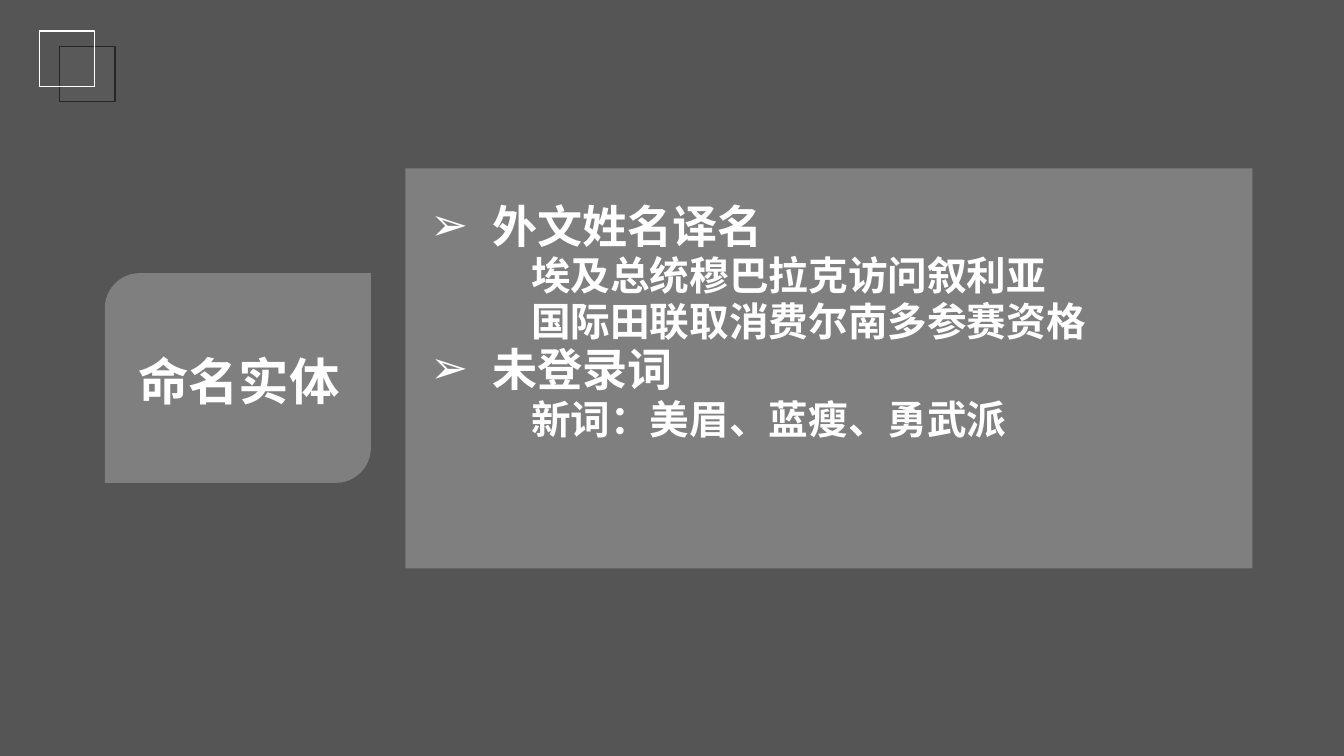
from lxml import etree
from pptx import Presentation
from pptx.dml.color import RGBColor
from pptx.enum.shapes import MSO_SHAPE
from pptx.enum.text import MSO_ANCHOR, PP_ALIGN
from pptx.oxml.ns import qn
from pptx.util import Inches, Pt

RECTANGLE = MSO_SHAPE.RECTANGLE
DIAGONAL_ROUND = MSO_SHAPE.ROUND_2_DIAG_RECTANGLE
TOP, CENTER, LEFT = MSO_ANCHOR.TOP, PP_ALIGN.CENTER, PP_ALIGN.LEFT
WHITE = RGBColor(0xFF, 0xFF, 0xFF)
BLACK = RGBColor(0x0D, 0x0D, 0x0D)
GRAY = RGBColor(0x59, 0x59, 0x59)
DARK = RGBColor(0x26, 0x26, 0x26)
FONT = "Noto Sans CJK SC"

presentation = Presentation()
presentation.slide_width = Inches(13.33)
presentation.slide_height = Inches(7.5)
slide = presentation.slides.add_slide(presentation.slide_layouts[6])


def area(left, top, width, height):
    """Turn percentages of the slide into lengths."""
    column = presentation.slide_width / 100
    row = presentation.slide_height / 100
    return [int(left * column), int(top * row), int(width * column), int(height * row)]


def write(paragraph, text, size):
    """Add white bold text, with the same font for Chinese characters."""
    run = paragraph.add_run()
    run.text = text
    font = run.font
    for name, value in {"name": FONT, "size": Pt(size), "bold": True}.items():
        setattr(font, name, value)
    font.color.rgb = WHITE
    etree.SubElement(run._r.get_or_add_rPr(), qn("a:ea"), typeface=FONT)


# Backdrop, corner squares, tag and panel: preset, area, fill, opacity %, line
SHAPES = [
    (RECTANGLE, (0, 0, 100, 100), BLACK, 70, None),
    (RECTANGLE, (4.43, 6.13, 4.13, 7.33), GRAY, 100, DARK),
    (RECTANGLE, (2.93, 4.13, 4.13, 7.33), None, 100, WHITE),
    (DIAGONAL_ROUND, (7.8, 36.13, 19.8, 27.73), WHITE, 25, None),
    (RECTANGLE, (30.16, 22.27, 63.02, 52.93), WHITE, 25, None),
]
for preset, place, fill, opacity, line in SHAPES:
    shape = slide.shapes.add_shape(preset, *area(*place))
    shape.shadow.inherit = False
    if fill is None:
        shape.fill.background()
    else:
        shape.fill.solid()
        shape.fill.fore_color.rgb = fill
        if opacity < 100:
            color = shape.fill._xPr.find(qn("a:solidFill"))[0]
            etree.SubElement(color, qn("a:alpha"), val=str(opacity * 1000))
    if line is None:
        shape.line.fill.background()
    else:
        shape.line.color.rgb = line
        shape.line.width = Pt(1)

# Tag label
label = slide.shapes.add_textbox(*area(7.95, 45.6, 19.65, 6.4)).text_frame
label.word_wrap = False
label.vertical_anchor = TOP
label.paragraphs[0].alignment = CENTER
write(label.paragraphs[0], "命名实体", 36)

# Outline: level and text
OUTLINE = [
    (0, "外文姓名译名"),
    (1, "埃及总统穆巴拉克访问叙利亚"),
    (1, "国际田联取消费尔南多参赛资格"),
    (0, "未登录词"),
    (1, "新词：美眉、蓝瘦、勇武派"),
]
SIZES = [32.2, 28.3]
INDENTS = [(0.62, -0.62), (1, 0)]
SPACING = {"alignment": LEFT, "line_spacing": 0.8, "space_before": Pt(0), "space_after": Pt(5.8)}

outline = slide.shapes.add_textbox(*area(31.28, 26.93, 61, 45.87)).text_frame
outline.word_wrap = True
outline.vertical_anchor = TOP
for index, (level, text) in enumerate(OUTLINE):
    paragraph = outline.add_paragraph() if index else outline.paragraphs[0]
    paragraph.level = level
    for name, value in SPACING.items():
        setattr(paragraph, name, value)
    margin, indent = INDENTS[level]
    properties = paragraph._p.get_or_add_pPr()
    properties.set("marL", str(Inches(margin)))
    properties.set("indent", str(Inches(indent)))
    if level == 0:
        etree.SubElement(properties, qn("a:buFont"), typeface="Arial")
        etree.SubElement(properties, qn("a:buChar"), char="➢")
    write(paragraph, text, SIZES[level])

presentation.save("out.pptx")
